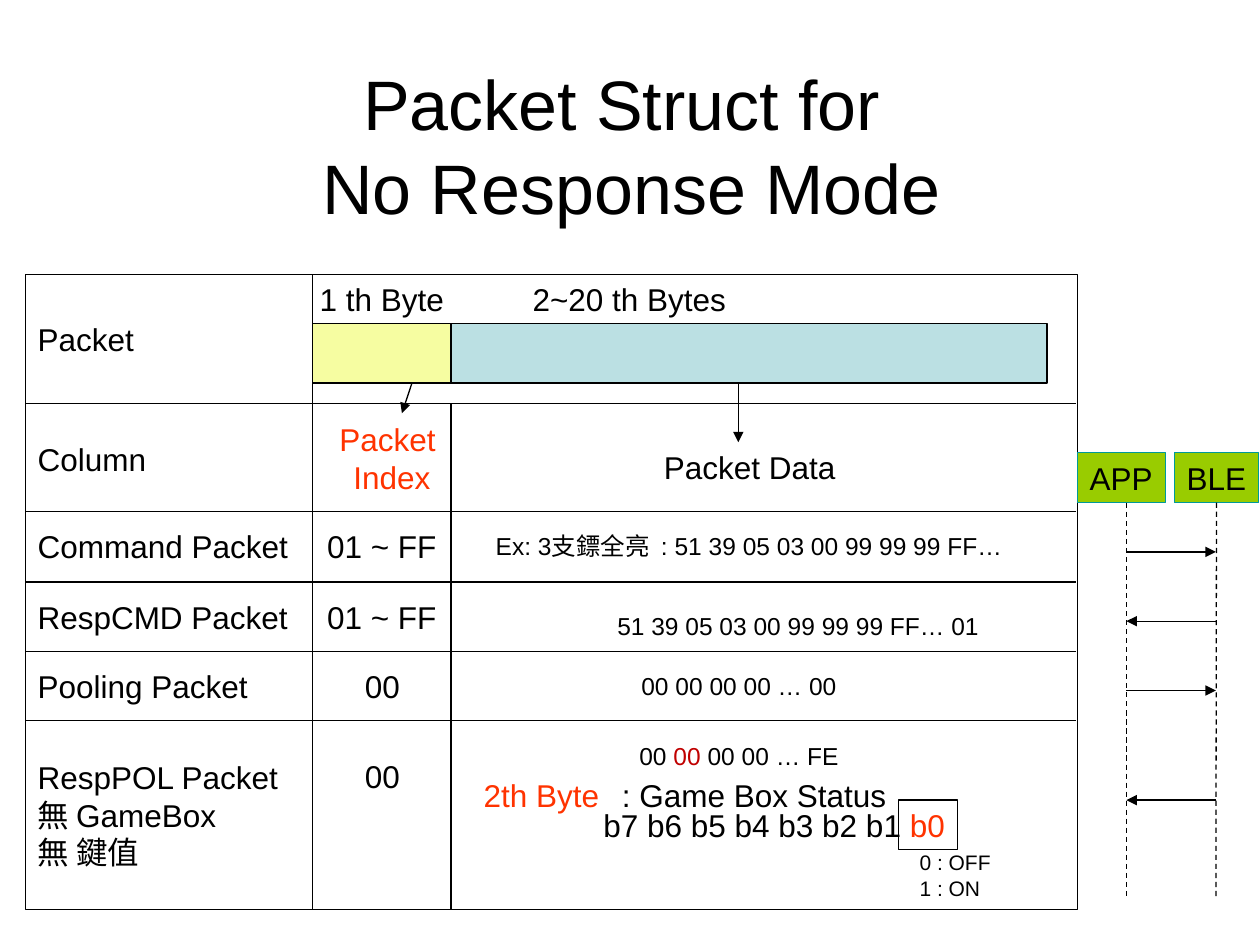
from lxml import etree
from pptx import Presentation
from pptx.dml.color import RGBColor
from pptx.enum.dml import MSO_LINE_DASH_STYLE as Dash
from pptx.enum.shapes import MSO_CONNECTOR as Connector, MSO_SHAPE as Shape
from pptx.enum.text import MSO_ANCHOR as Anchor, MSO_AUTO_SIZE as AutoSize, PP_ALIGN as Align
from pptx.oxml.ns import qn
from pptx.util import Pt

PX = 9144  # 100 px to the inch
COLORS = {"black": "000000", "red": "FF3300", "dark red": "C00000", "yellow": "F6FDA1",
          "blue": "BBE0E3", "green": "99CC00", "teal": "009999"}
LEFT, INDEX, DATA, RIGHT = 20, 248, 358, 854
TOP, COLUMN, COMMAND, RESP_CMD, POOLING, RESP_POL, BOTTOM = 218, 320, 406, 462, 517, 572, 722
APP_X, BLE_X = 894, 965


def rgb(name):
    return RGBColor.from_string(COLORS[name])


def add_line(x1, y1, x2, y2, arrow=False, dashed=False):
    line = page.shapes.add_connector(Connector.STRAIGHT, x1 * PX, y1 * PX, x2 * PX, y2 * PX)
    line.line.color.rgb = rgb("black")
    line.line.width = Pt(0.75)
    if dashed:
        line.line.dash_style = Dash.DASH
    if arrow:
        etree.SubElement(line.line._get_or_add_ln(), qn("a:tailEnd"), type="triangle")
    etree.SubElement(line._element.spPr, qn("a:effectLst"))
    return line


deck = Presentation()
deck.slide_width, deck.slide_height = 1000 * PX, 750 * PX
page = deck.slides.add_slide(deck.slide_layouts[5])

title = page.shapes.title
title.left, title.top, title.width, title.height = 51 * PX, 52 * PX, 900 * PX, 125 * PX
frame = title.text_frame
frame.auto_size = AutoSize.NONE
frame.vertical_anchor = Anchor.MIDDLE
para = frame.paragraphs[0]
para.text = "Packet Struct for \vNo Response Mode"
para.alignment = Align.CENTER
para.font.name, para.font.size = "Arial", Pt(40)
para.font.color.rgb = rgb("black")

# Packet bar, table frame, bit highlight and the two endpoints
boxes = {}
for name, x, y, width, height, fill, edge in [
    ("data bytes", DATA, 257, 473, 47, "blue", "black"),
    ("index byte", INDEX, 257, 110, 47, "yellow", "black"),
    ("frame", LEFT, TOP, 835, 504, None, "black"),
    ("bit 0", 713, 635, 47, 39, None, "black"),
    ("APP", 855, 359, 70, 40, "green", "teal"),
    ("BLE", 932, 359, 67, 40, "green", "teal"),
]:
    box = page.shapes.add_shape(Shape.RECTANGLE, x * PX, y * PX, width * PX, height * PX)
    box.shadow.inherit = False
    if fill:
        box.fill.solid()
        box.fill.fore_color.rgb = rgb(fill)
    else:
        box.fill.background()
    box.line.color.rgb = rgb(edge)
    box.line.width = Pt(0.75)
    boxes[name] = box

for name in ("APP", "BLE"):
    frame = boxes[name].text_frame
    frame.word_wrap = False
    frame.vertical_anchor = Anchor.TOP
    para = frame.paragraphs[0]
    para.text = name
    para.alignment = Align.LEFT
    para.font.name, para.font.size = "Arial", Pt(18)
    para.font.color.rgb = rgb("black")

# Table rules
for y in (COLUMN, COMMAND, POOLING, RESP_POL):
    add_line(LEFT, y, RIGHT, y)
add_line(LEFT, RESP_CMD, INDEX, RESP_CMD)
add_line(INDEX, RESP_CMD, RIGHT, RESP_CMD)
add_line(INDEX, TOP, INDEX, COMMAND)
add_line(INDEX, COMMAND, INDEX, BOTTOM)
add_line(DATA, COLUMN, DATA, BOTTOM)

# Arrows from the packet bar to its columns
add_line(327, 304, 319, 328, arrow=True)
add_line(586, 304, 586, 351, arrow=True)

# Message sequence between the endpoints
add_line(APP_X, 399, APP_X, 714, dashed=True)
add_line(BLE_X, 399, BLE_X, 714, dashed=True).begin_connect(boxes["BLE"], 2)
for y, start, end in [(438, APP_X, BLE_X), (493, BLE_X, APP_X),
                      (548, APP_X, BLE_X), (635, BLE_X, APP_X)]:
    add_line(start, y, end, y, arrow=True)

# Each label: place, size, alignment, anchor, paragraphs of (text, colour) spans
C, L, MID, UP = Align.CENTER, Align.LEFT, Anchor.MIDDLE, Anchor.TOP
labels = [
    (INDEX, 210, 110, 55, 18, C, MID, [[("1 th Byte", "black")]]),
    (421, 210, 157, 55, 18, C, MID, [[("2~20 th Bytes", "black")]]),
    (232, 344, 158, 39, 18, C, MID, [[("Packet ", "red")], [("Index", "red")]]),
    (461, 351, 268, 39, 18, C, MID, [[("Packet Data", "black")]]),
    (LEFT, 249, 96, 40, 18, L, UP, [[("Packet", "black")]]),
    (LEFT, 344, 106, 40, 18, L, UP, [[("Column", "black")]]),
    (LEFT, COMMAND, 228, 55, 18, L, MID, [[("Command Packet", "black")]]),
    (LEFT, RESP_CMD, 236, 55, 18, L, MID, [[("RespCMD Packet", "black")]]),
    (LEFT, POOLING, 228, 55, 18, L, MID, [[("Pooling Packet", "black")]]),
    (LEFT, 603, 228, 87, 18, L, MID,
     [[("RespPOL Packet", "black")], [("無 GameBox\v無 鍵值", "black")]]),
    (INDEX, COMMAND, 110, 55, 18, C, MID, [[("01 ~ FF", "black")]]),
    (INDEX, RESP_CMD, 110, 55, 18, C, MID, [[("01 ~ FF", "black")]]),
    (272, POOLING, 63, 55, 18, C, MID, [[("00", "black")]]),
    (272, 588, 63, 55, 18, C, MID, [[("00", "black")]]),
    (500, COMMAND, 189, 55, 14, C, MID,
     [[("Ex: 3支鏢全亮  : 51 39 05 03 00 99 99 99 FF…", "black")]]),
    (539, 469, 189, 55, 14, C, MID, [[("51 39 05 03 00 99 99 99 FF… 01", "black")]]),
    (492, POOLING, 189, 55, 14, C, MID, [[("00 00 00 00 … 00", "black")]]),
    (492, RESP_POL, 189, 55, 14, C, MID,
     [[("00 ", "black"), ("00", "dark red"), (" 00 00 … FE", "black")]]),
    (374, 611, 111, 40, 18, L, UP, [[("2th Byte", "red")]]),
    (492, 603, 213, 55, 18, C, MID, [[(": Game Box Status", "black")]]),
    (508, 627, 213, 55, 18, C, MID, [[("b7 b6 b5 b4 b3 b2 b1 ", "black"), ("b0", "red")]]),
    (720, 667, 94, 55, 12, L, MID, [[("0 : OFF\v1 : ON", "black")]]),
]
for x, y, width, height, size, align, anchor, paragraphs in labels:
    # An unfilled rectangle lets long text run past both sides without wrapping
    box = page.shapes.add_shape(Shape.RECTANGLE, x * PX, y * PX, width * PX, height * PX)
    box.shadow.inherit = False
    box.fill.background()
    box.line.fill.background()
    frame = box.text_frame
    frame.word_wrap = False
    frame.auto_size = AutoSize.NONE
    frame.vertical_anchor = anchor
    for number, spans in enumerate(paragraphs):
        para = frame.add_paragraph() if number else frame.paragraphs[0]
        para.alignment = align
        para.font.name, para.font.size = "Arial", Pt(size)
        if len(spans) == 1:
            para.text, color = spans[0]
            para.font.color.rgb = rgb(color)
            continue
        for text, color in spans:
            span = para.add_run()
            span.text = text
            span.font.color.rgb = rgb(color)

deck.save("out.pptx")
